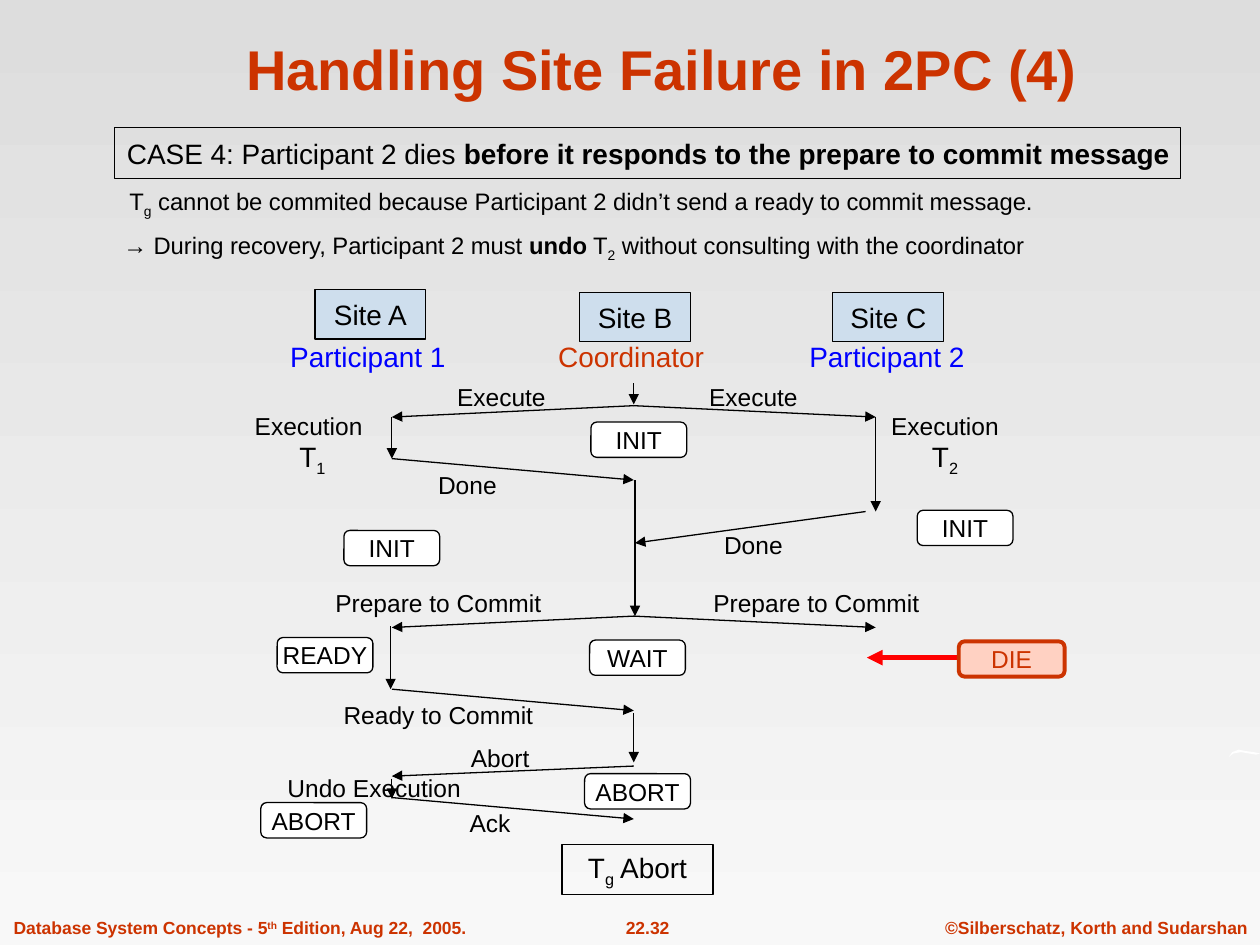
from lxml import etree
from pptx import Presentation
from pptx.dml.color import RGBColor
from pptx.enum.shapes import MSO_CONNECTOR, MSO_SHAPE
from pptx.enum.text import MSO_ANCHOR, PP_ALIGN
from pptx.oxml.ns import qn
from pptx.util import Inches, Pt

LEFT, CENTER, RIGHT = PP_ALIGN.LEFT, PP_ALIGN.CENTER, PP_ALIGN.RIGHT
TOP, MIDDLE, BOTTOM = MSO_ANCHOR.TOP, MSO_ANCHOR.MIDDLE, MSO_ANCHOR.BOTTOM
RECT, ROUNDED = MSO_SHAPE.RECTANGLE, MSO_SHAPE.ROUNDED_RECTANGLE
STRAIGHT = MSO_CONNECTOR.STRAIGHT

# The slide is a grid of 100 columns by 75 rows
CELL = Inches(0.1)
COLUMNS, ROWS = 100, 75
SITE_A, SITE_B, SITE_C = 31.1, 50.3, 69.5  # columns of the three time lines

BLACK, WHITE, RUST, BLUE, RED = "000000", "FFFFFF", "CC3300", "0000FF", "FF0000"
SKY, PEACH = "99CCFF", "FFD1C2"
SUB, SUPER = {"baseline": -25000}, {"baseline": 30000}
BOLD = {"bold": True}


def grid(*cells):
    return [round(cell * CELL) for cell in cells]


def rgb(hex_code):
    return RGBColor.from_string(hex_code)


def write(frame, *paragraphs, size=14, color=BLACK, bold=False, align=CENTER,
          anchor=MIDDLE, wrap=False, space_before=0, line_spacing=None):
    """Fill a frame; a paragraph is a string or a list of strings and (string, style)."""
    frame.word_wrap = wrap
    frame.vertical_anchor = anchor
    for number, content in enumerate(paragraphs):
        paragraph = frame.add_paragraph() if number else frame.paragraphs[0]
        paragraph.alignment = align
        if number:
            paragraph.space_before = Pt(space_before)
            paragraph.line_spacing = line_spacing
        for piece in [content] if isinstance(content, str) else content:
            words, style = (piece, {}) if isinstance(piece, str) else piece
            run = paragraph.add_run()
            run.text = words
            run.font.name = "Arial"
            run.font.size = Pt(size)
            run.font.bold = style.get("bold", bold)
            run.font.color.rgb = rgb(color)
            if "baseline" in style:
                run.font._element.set("baseline", str(style["baseline"]))


def text(slide, area, *paragraphs, **style):
    write(slide.shapes.add_textbox(*grid(*area)).text_frame, *paragraphs, **style)


def label(slide, column, row, words, width=24, **style):
    """Text centred on a grid point."""
    text(slide, (column - width / 2, row - 1.7, width, 3.2), words, **style)


def box(slide, area, content, kind=RECT, fill=None, opacity=100,
        line=BLACK, weight=0.75, **style):
    shape = slide.shapes.add_shape(kind, *grid(*area))
    shape.shadow.inherit = False
    shape.line.color.rgb = rgb(line)
    shape.line.width = Pt(weight)
    if fill:
        shape.fill.solid()
        shape.fill.fore_color.rgb = rgb(fill)
        if opacity < 100:
            shade = shape._element.spPr.find(qn("a:solidFill"))[0]
            etree.SubElement(shade, qn("a:alpha")).set("val", str(opacity * 1000))
    else:
        shape.fill.background()
    write(shape.text_frame, content, **style)


def state(slide, column, row, name, width=7.6, fill=WHITE, **style):
    box(slide, (column, row, width, 2.8), name, kind=ROUNDED, fill=fill, **style)


def arrow(slide, x1, y1, x2, y2, color=BLACK, weight=0.75):
    connector = slide.shapes.add_connector(STRAIGHT, *grid(x1, y1, x2, y2))
    connector.line.color.rgb = rgb(color)
    connector.line.width = Pt(weight)
    etree.SubElement(connector.line._get_or_add_ln(), qn("a:tailEnd")).set("type", "triangle")
    etree.SubElement(connector._element.spPr, qn("a:effectLst"))


def background(slide):
    fill = slide.background.fill
    fill.gradient()
    fill.gradient_angle = 270
    for stop, shade in zip(fill.gradient_stops, ("DDDDDD", "F8F8F8")):
        stop.color.rgb = rgb(shade)


def wave(slide):
    points = [(97.5, 60.1), (97.8, 59.7), (98.3, 59.5), (98.8, 59.6), (99.5, 59.7),
              (100, 59.8), (99.7, 59.9), (99.1, 59.8), (98.5, 59.7), (97.9, 59.8)]
    start, *rest = [tuple(grid(*point)) for point in points]
    builder = slide.shapes.build_freeform(*start)
    builder.add_line_segments(rest, close=True)
    shape = builder.convert_to_shape()
    shape.shadow.inherit = False
    shape.fill.solid()
    shape.fill.fore_color.rgb = rgb(WHITE)
    shape.line.fill.background()


def footer(slide):
    edition = ["Database System Concepts - 5", ("th", SUPER), " Edition, Aug 22,  2005."]
    parts = [(0.1, 37.9, edition, LEFT), (46.1, 10.6, "22.32", CENTER),
             (74, 26, "©Silberschatz, Korth and Sudarshan", RIGHT)]
    for column, width, content, align in parts:
        text(slide, (column, 72.3, width, 2.7), content, size=10, color=RUST,
             bold=True, align=align, anchor=TOP)


def heading(slide):
    text(slide, (8.4, 1.9, 88.3, 6.7), "Handling Site Failure in 2PC (4)",
         size=32, color=RUST, bold=True, anchor=BOTTOM, wrap=True)
    box(slide, (9.1, 10.1, 84.6, 4.1),
        ["CASE 4: Participant 2 dies ",
         ("before it responds to the prepare to commit message", BOLD)],
        size=16, align=LEFT)
    text(slide, (8.8, 14.3, 87.8, 7.3),
         [" T", ("g", SUB), " cannot be commited because Participant 2 didn’t send "
          "a ready to commit message."],
         ["→ During recovery, Participant 2 must ", ("undo", BOLD), " T", ("2", SUB),
          " without consulting with the coordinator"],
         size=13.6, align=LEFT, anchor=TOP, wrap=True, space_before=7, line_spacing=0.9)


def sites(slide):
    for left, top, site, middle, role, color in [
            (25, 23, "Site A", 29.2, "Participant 1", BLUE),
            (46, 23.2, "Site B", 50.1, "Coordinator", RUST),
            (66.1, 23.2, "Site C", 70.4, "Participant 2", BLUE)]:
        box(slide, (left, top, 8.8, 3.9), site, fill=SKY, opacity=30, size=16)
        label(slide, middle, 28.4, role, size=16, color=color)


def messages(slide):
    for column, row, words in [
            (39.8, 31.6, "Execute"), (59.8, 31.6, "Execute"),
            (24.5, 33.9, "Execution"), (75, 33.9, "Execution"),
            (37.1, 38.6, "Done"), (59.8, 43.3, "Done"),
            (34.8, 47.9, "Prepare to Commit"), (64.8, 47.9, "Prepare to Commit"),
            (34.8, 56.8, "Ready to Commit"), (39.7, 60.2, "Abort"),
            (29.7, 62.6, "Undo Execution"), (38.9, 65.4, "Ack")]:
        label(slide, column, row, words)
    for column, number in [(24.8, "1"), (75, "2")]:
        label(slide, column, 36.5, ["T", (number, SUB)], width=10, size=16)


def time_lines(slide):
    for row in (32.2, 48.9):
        for site in (SITE_A, SITE_C):
            arrow(slide, SITE_B, row, site, row + 0.9)
    for row in (36.4, 54.7, 63.3):
        arrow(slide, SITE_A, row, SITE_B, row + 1.7)
    arrow(slide, 68.7, 40.6, SITE_B + 0.1, 43.1)
    arrow(slide, SITE_B, 60.8, SITE_A, 61.6)
    for site, start, end in [
            (SITE_B, 30.4, 32.1), (SITE_A, 33.1, 36.4), (SITE_C, 33.1, 40.6),
            (SITE_B + 0.1, 38.1, 48.9), (SITE_A - 0.1, 49.7, 54.7),
            (SITE_B, 56.6, 60.5), (SITE_A, 61.8, 63.4)]:
        arrow(slide, site, start, site, end)
    arrow(slide, 76.2, 52.2, 68.8, 52.2, color=RED, weight=3)


def states(slide):
    for column, row, name in [
            (46.9, 33.5, "INIT"), (27.3, 42.1, "INIT"), (72.8, 40.5, "INIT"),
            (46.8, 50.8, "WAIT"), (22, 50.6, "READY")]:
        state(slide, column, row, name)
    for column, row in [(46.4, 61.4), (20.7, 63.7)]:
        state(slide, column, row, "ABORT", width=8.4)
    state(slide, 76.1, 50.9, "DIE", width=8.4, fill=PEACH, line=RUST,
          weight=2.25, color=RUST)
    box(slide, (44.6, 67, 12, 4), ["T", ("g", SUB), " Abort"], size=16)


def main():
    deck = Presentation()
    deck.slide_width, deck.slide_height = grid(COLUMNS, ROWS)
    slide = deck.slides.add_slide(deck.slide_layouts[6])
    for draw in (background, footer, wave, heading, sites, messages, time_lines, states):
        draw(slide)
    deck.save("out.pptx")


if __name__ == "__main__":
    main()
